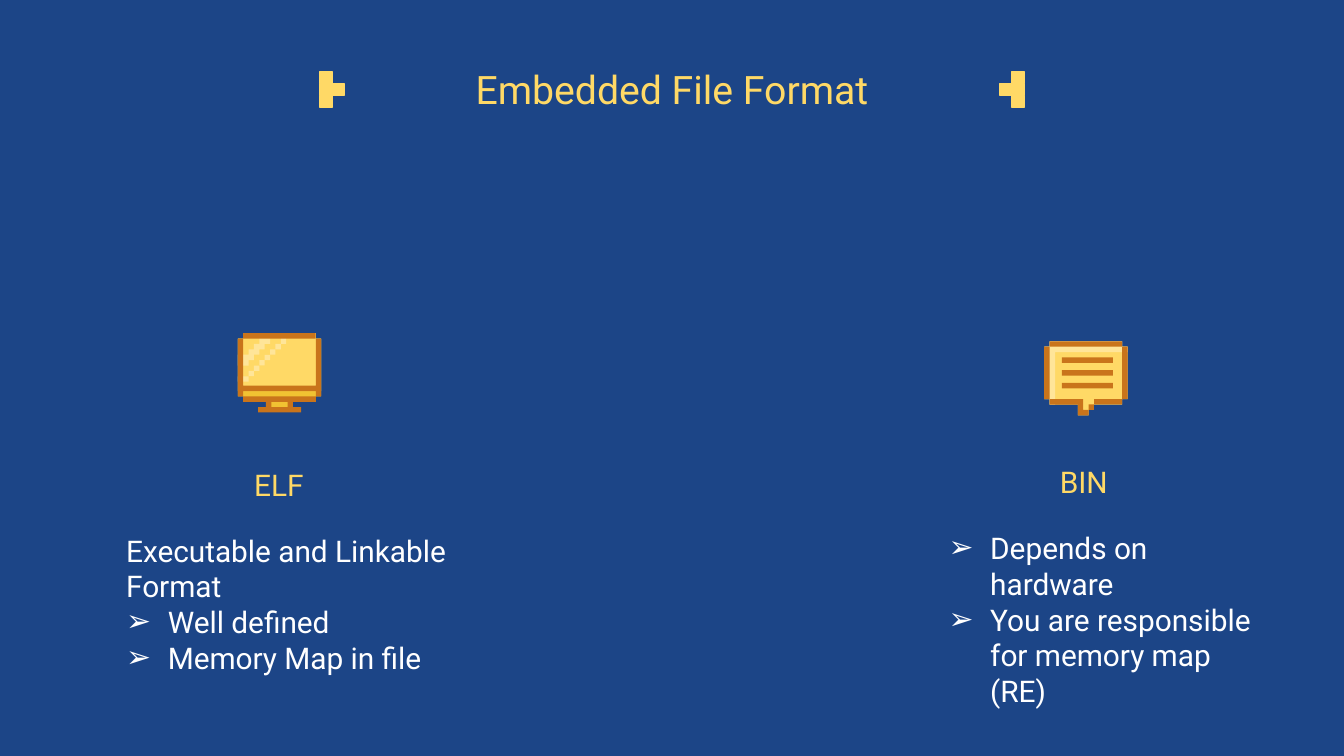
from dataclasses import dataclass

from lxml import etree
from pptx import Presentation
from pptx import util as u
from pptx.dml.color import RGBColor
from pptx.enum import shapes, text
from pptx.oxml.ns import qn


@dataclass(frozen=True)
class Theme:
    """Colours, font and type sizes of the slide."""
    background: str = "1C4587"
    yellow: str = "FFD966"
    pale: str = "FFE599"
    gold: str = "F1C232"
    brown: str = "C9741B"
    white: str = "FFFFFF"
    font: str = "Roboto"
    title_size: int = 21
    body_size: int = 16


THEME = Theme()
PIXEL = 0.01
ICON_WIDTH = 62


def rgb(color):
    """Turn a hex string into a colour."""
    return RGBColor.from_string(color)


def add_bullet(paragraph, color):
    """Give a paragraph an arrow bullet and a hanging indent."""
    properties = paragraph._p.get_or_add_pPr()
    indent = u.Inches(0.31)
    properties.set("marL", str(indent))
    properties.set("indent", str(-indent))
    bullet_color = etree.SubElement(properties, qn("a:buClr"))
    etree.SubElement(bullet_color, qn("a:srgbClr")).set("val", color)
    etree.SubElement(properties, qn("a:buFont")).set("typeface", THEME.font)
    etree.SubElement(properties, qn("a:buChar")).set("char", "➢")


def write(slide, box, lines, bullets=(), size=THEME.body_size, color=THEME.white,
          align=text.PP_ALIGN.LEFT, anchor=text.MSO_ANCHOR.TOP):
    """Write plain lines, then bulleted ones, in a box."""
    frame = slide.shapes.add_textbox(*map(u.Inches, box)).text_frame
    frame.word_wrap = True
    frame.vertical_anchor = anchor
    frame.margin_left = frame.margin_right = u.Inches(0.1)
    frame.margin_top = frame.margin_bottom = u.Inches(0.1)
    for index, line in enumerate([*lines, *bullets]):
        paragraph = frame.paragraphs[0] if index == 0 else frame.add_paragraph()
        paragraph.alignment = align
        if index >= len(lines):
            add_bullet(paragraph, color)
        run = paragraph.add_run()
        run.text = line
        run.font.name = THEME.font
        run.font.size = u.Pt(size)
        run.font.color.rgb = rgb(color)


def heading(slide, box, label, size=THEME.body_size):
    """Write a centred yellow heading resting on the bottom of its box."""
    write(slide, box, [label], size=size, color=THEME.yellow,
          align=text.PP_ALIGN.CENTER, anchor=text.MSO_ANCHOR.BOTTOM)


def paint(shape, color, outlined=False):
    """Fill a shape, with an outline of the same colour or none."""
    shape.shadow.inherit = False
    shape.fill.solid()
    shape.fill.fore_color.rgb = rgb(color)
    if outlined:
        shape.line.color.rgb = rgb(color)
        shape.line.width = u.Pt(0.75)
    else:
        shape.line.fill.background()


def block(group, origin, cell, color, outlined=False):
    """Draw a rectangle given in pixels from the origin."""
    x, y, width, height = (value * PIXEL for value in cell)
    rectangle = group.shapes.add_shape(
        shapes.MSO_SHAPE.RECTANGLE, u.Inches(origin[0] + x),
        u.Inches(origin[1] + y), u.Inches(width), u.Inches(height))
    paint(rectangle, color, outlined)


def outline(group, origin, points, color):
    """Draw a closed polygon given in pixels from the origin."""
    corners = [(u.Inches(origin[0] + x * PIXEL), u.Inches(origin[1] + y * PIXEL))
               for x, y in points]
    builder = group.shapes.build_freeform(*corners[0])
    builder.add_line_segments(corners[1:], close=True)
    paint(builder.convert_to_shape(), color)


def mirrored(half):
    """Complete the left half of an icon outline with its right half."""
    return half + [(ICON_WIDTH - x, y) for x, y in reversed(half)]


def title_bracket(slide, origin, bar_column):
    """Draw three stacked squares with a fourth beside the middle one."""
    group = slide.shapes.add_group_shape()
    side = 9
    cells = [(bar_column, row) for row in range(3)] + [(1 - bar_column, 1)]
    for column, row in cells:
        block(group, origin, (column * side, row * side, side, side),
              THEME.yellow, outlined=True)


def monitor_icon(slide, origin):
    """Draw the pixel monitor."""
    group = slide.shapes.add_group_shape()
    shoulder = [(4, 0), (4, 4), (0, 4)]
    outline(group, origin, mirrored(
        shoulder + [(0, 47), (4, 47), (4, 51), (21, 51), (21, 55)]), THEME.gold)
    outline(group, origin, mirrored(shoulder + [(0, 43)]), THEME.yellow)
    for step in range(6):
        block(group, origin, (8 + 4 * step, 28 - 4 * step, 4, 4), THEME.pale)
    outline(group, origin, [
        (16, 0), (16, 8), (12, 8), (12, 12), (8, 12), (8, 16), (0, 16), (0, 24),
        (8, 24), (8, 20), (12, 20), (12, 16), (16, 16), (16, 12), (20, 12),
        (20, 8), (24, 8), (24, 0)], THEME.pale)
    for glint in [(32, 0, 4, 8), (0, 32, 8, 4)]:
        block(group, origin, glint, THEME.pale)
    outline(group, origin, mirrored(
        [(4, 39), (4, 4), (0, 4), (0, 47), (4, 47), (4, 43)]), THEME.brown)
    for edge in [(15, 55, 32, 4), (4, 0, 54, 4)]:
        block(group, origin, edge, THEME.brown)
    outline(group, origin, mirrored(
        [(4, 47), (4, 51), (21, 51), (21, 55), (25, 55), (25, 51)]), THEME.brown)


def message_icon(slide, origin):
    """Draw the pixel speech bubble."""
    group = slide.shapes.add_group_shape()
    left_side = [(4, 0), (4, 4), (0, 4), (0, 43), (4, 43), (4, 47)]
    right_shoulder = [(62, 4), (58, 4), (58, 0)]
    tail = [(25, 47), (25, 55), (33, 55), (33, 51)]
    outline(group, origin, left_side + tail + [
        (37, 51), (37, 47), (58, 47), (58, 43), (62, 43)] + right_shoulder,
        THEME.yellow)
    outline(group, origin, left_side + [(8, 47), (8, 8), (62, 8)] + right_shoulder,
            THEME.pale)
    block(group, origin, (33, 47, 4, 4), THEME.brown)
    for side in [(0, 4, 4, 39), (58, 4, 4, 39)]:
        block(group, origin, side, THEME.brown)
    outline(group, origin, [(4, 43), (4, 47)] + tail + [(29, 51), (29, 43)],
            THEME.brown)
    message_lines = [(13, 12 + 9.5 * row, 38, 4) for row in range(3)]
    for cell in [(4, 0, 54, 4), (37, 43, 21, 4)] + message_lines:
        block(group, origin, cell, THEME.brown)


def title_region(slide, box):
    """Place the slide title between its two brackets."""
    left, top, width, height = box
    heading(slide, box, "Embedded File Format", size=THEME.title_size)
    inset, bracket_width = 2.04, 0.18
    title_bracket(slide, (left + inset, top + 0.22), bar_column=0)
    title_bracket(slide, (left + width - inset - bracket_width, top + 0.22),
                  bar_column=1)


def format_column(slide, box, name, icon, icon_offset, body_offset, body_width,
                  lines=(), bullets=()):
    """Place one file format: icon, name and description."""
    left, top, width, height = box
    heading_height, body_top = 0.43, 0.45
    heading(slide, (left, top, width, heading_height), name)
    write(slide, (left + body_offset, top + body_top, body_width, height - body_top),
          lines, bullets)
    icon(slide, (left + icon_offset[0], top + icon_offset[1]))


def main():
    """Build the slide and save it."""
    deck = Presentation()
    deck.slide_width = u.Inches(10)
    deck.slide_height = deck.slide_width * 9 // 16
    slide = deck.slides.add_slide(deck.slide_layouts[6])
    slide.background.fill.solid()
    slide.background.fill.fore_color.rgb = rgb(THEME.background)
    title_region(slide, (0.34, 0.31, 9.32, 0.63))
    format_column(slide, (0.84, 3.41, 2.47, 1.66), "ELF", monitor_icon,
                  (0.93, -0.93), 0, 3.22,
                  lines=["Executable and Linkable Format"],
                  bullets=["Well defined", "Memory Map in file"])
    format_column(slide, (6.83, 3.39, 2.47, 1.66), "BIN", message_icon,
                  (0.94, -0.85), 0.13, 2.47,
                  bullets=["Depends on hardware",
                           "You are responsible for memory map (RE)"])
    deck.save("out.pptx")


if __name__ == "__main__":
    main()
